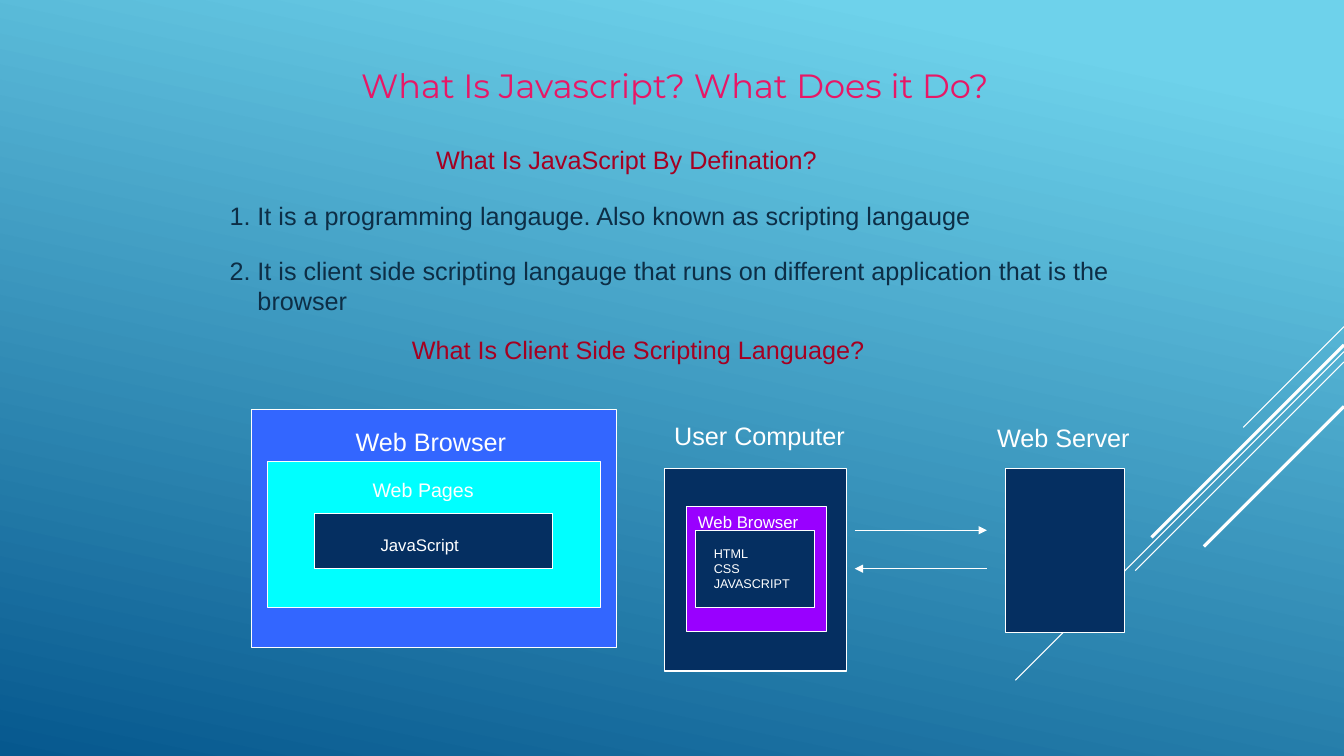
from lxml import etree
from pptx import Presentation
from pptx.dml.color import RGBColor
from pptx.enum import shapes, text
from pptx.oxml import ns
from pptx.util import Cm, Pt

WHITE = RGBColor(0xFF, 0xFF, 0xFF)
SKY = RGBColor(0x6E, 0xD2, 0xEB)
OCEAN = RGBColor(0x06, 0x58, 0x8E)
PINK = RGBColor(0xE8, 0x17, 0x66)
CRIMSON = RGBColor(0xA5, 0x00, 0x21)
INK = RGBColor(0x0D, 0x2E, 0x46)
NAVY = RGBColor(0x05, 0x2F, 0x61)
BLUE = RGBColor(0x33, 0x66, 0xFF)
CYAN = RGBColor(0x00, 0xFF, 0xFF)
PURPLE = RGBColor(0x99, 0x00, 0xFF)

SLIDE_WIDTH, SLIDE_HEIGHT = 33.87, 19.05


def add_label(slide, box, lines, size, color=WHITE, font="Arial"):
    """Place text in box (left, top, width, height in cm), a paragraph per line."""
    frame = slide.shapes.add_textbox(*map(Cm, box)).text_frame
    frame.word_wrap = True
    for index, line in enumerate(lines):
        paragraph = frame.add_paragraph() if index else frame.paragraphs[0]
        run = paragraph.add_run()
        run.text = line
        run.font.size = Pt(size)
        run.font.name = font
        run.font.color.rgb = color
    return frame


def add_block(slide, box, color):
    block = slide.shapes.add_shape(shapes.MSO_SHAPE.RECTANGLE, *map(Cm, box))
    block.shadow.inherit = False
    block.fill.solid()
    block.fill.fore_color.rgb = color
    block.line.color.rgb = WHITE
    block.line.width = Pt(0.75)


def add_line(slide, start, end, width=0.75, arrow=False):
    line = slide.shapes.add_connector(
        shapes.MSO_CONNECTOR.STRAIGHT, *map(Cm, (*start, *end)))
    line.line.color.rgb = WHITE
    line.line.width = Pt(width)
    properties = line._element.spPr
    if arrow:
        outline = properties.find(ns.qn("a:ln"))
        etree.SubElement(outline, ns.qn("a:tailEnd"), type="triangle")
    etree.SubElement(properties, ns.qn("a:effectLst"))


# Gradient and diagonal rays
def draw_backdrop(slide):
    fill = slide.background.fill
    fill.gradient()
    fill.gradient_angle = 258
    for stop, color, position in zip(fill.gradient_stops, (SKY, OCEAN), (0.1, 1)):
        stop.color.rgb = color
        stop.position = position
    # Each ray from the right edge: start height, horizontal reach, weight
    for top, reach, width in ((8.23, 2.54, 0.75), (8.86, 8.28, 0.75),
                              (9.12, 5.26, 0.75), (8.69, 4.85, 2.25),
                              (10.24, 3.53, 2.25)):
        add_line(slide, (SLIDE_WIDTH, top), (SLIDE_WIDTH - reach, top + reach), width)


def add_numbered_item(slide, box, number, wording):
    frame = add_label(slide, box, [wording], 18, INK)
    properties = frame.paragraphs[0]._p.get_or_add_pPr()
    properties.set("marL", str(Cm(0.7)))
    properties.set("indent", str(-Cm(0.7)))
    etree.SubElement(properties, ns.qn("a:buFont"), typeface="Arial")
    etree.SubElement(properties, ns.qn("a:buAutoNum"),
                     type="arabicPeriod", startAt=str(number))


# Title, headings and numbered definition
def draw_definition(slide, left, top, width):
    title = add_label(slide, (left + 2.79, top, 17.35, 1.19),
                      ["What Is Javascript? What Does it Do?"],
                      24, PINK, "Montserrat")
    title.paragraphs[0].alignment = text.PP_ALIGN.CENTER
    add_label(slide, (left + 5.2, top + 2, 11, 1.02),
              ["What Is JavaScript By Defination?"], 18, CRIMSON)
    add_numbered_item(slide, (left, top + 3.41, width, 1.02), 1,
                      "It is a programming langauge. Also known as scripting langauge")
    add_numbered_item(slide, (left, top + 4.78, width, 1.78), 2,
                      "It is client side scripting langauge that runs on "
                      "different application that is the browser")
    add_label(slide, (left + 4.59, top + 6.79, 12.8, 1.02),
              ["What Is Client Side Scripting Language?"], 18, CRIMSON)


# Browser holding pages holding JavaScript
def draw_browser(slide, left, top, width, height):
    add_block(slide, (left, top, width, height), BLUE)
    add_label(slide, (left + 2.37, top + 0.28, 4.62, 1.02), ["Web Browser"], 18)
    add_block(slide, (left + 0.4, top + 1.3, width - 0.8, 3.68), CYAN)
    add_label(slide, (left + 2.8, top + 1.6, 3.4, 0.84), ["Web Pages"], 14)
    add_block(slide, (left + 1.59, top + 2.62, 6, 1.37), NAVY)
    add_label(slide, (left + 3, top + 3.02, 3.4, 0.76), ["JavaScript"], 12)


# Computer running a browser
def draw_user_computer(slide, left, top, width, height):
    add_label(slide, (left, top - 1.35, width + 0.9, 1.02), ["User Computer"], 18)
    add_block(slide, (left, top, width, height), NAVY)
    add_block(slide, (left + 0.55, top + 0.96, 3.53, 3.15), PURPLE)
    add_block(slide, (left + 0.78, top + 1.55, 3, 1.96), NAVY)
    add_label(slide, (left + 0.6, top + 0.95, 3.51, 0.76), ["Web Browser"], 12)
    add_label(slide, (left + 1, top + 1.81, 2.79, 1.4),
              ["HTML", "CSS", "JAVASCRIPT"], 9)


# Server box with its caption
def draw_web_server(slide, left, top, width, height):
    add_label(slide, (left - 0.45, top - 1.3, width + 1.6, 1.02), ["Web Server"], 18)
    add_block(slide, (left, top, width, height), NAVY)


# Request and response arrows
def draw_exchange(slide, left, top, width, height):
    right, bottom = left + width, top + height
    add_line(slide, (left, top), (right, top), arrow=True)
    add_line(slide, (right, bottom), (left, bottom), arrow=True)


def main():
    deck = Presentation()
    deck.slide_width, deck.slide_height = Cm(SLIDE_WIDTH), Cm(SLIDE_HEIGHT)
    slide = deck.slides.add_slide(deck.slide_layouts[6])
    draw_backdrop(slide)
    draw_definition(slide, 5.54, 1.52, 23.22)
    draw_browser(slide, 6.34, 10.33, 9.2, 6)
    draw_user_computer(slide, 16.74, 11.81, 4.6, 5.1)
    draw_web_server(slide, 25.33, 11.81, 3, 4.12)
    draw_exchange(slide, 21.54, 13.36, 3.33, 0.97)
    deck.save("out.pptx")


if __name__ == "__main__":
    main()
